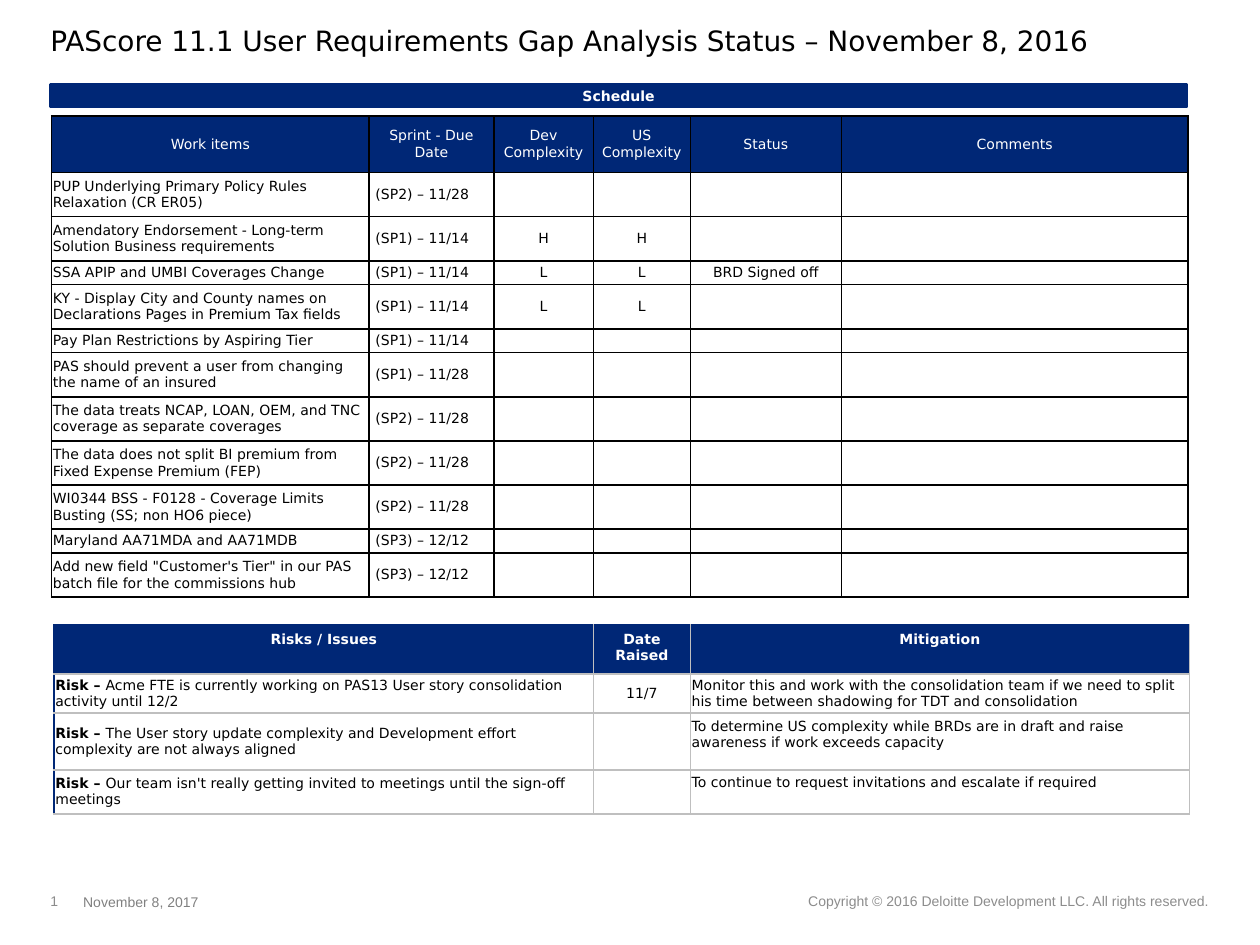
"""Build the user requirements gap analysis status slide."""
from dataclasses import dataclass

import pptx
import pptx.dml.color
import pptx.enum.shapes
import pptx.enum.text
import pptx.util
from lxml import etree
from pptx.oxml.ns import qn

Inches = pptx.util.Inches
Pt = pptx.util.Pt
RGB = pptx.dml.color.RGBColor.from_string
ALIGN = pptx.enum.text.PP_ALIGN
ANCHOR = pptx.enum.text.MSO_ANCHOR


@dataclass(frozen=True)
class Theme:
    """Colours, fonts and sizes of the slide."""
    navy: str = "002776"
    black: str = "000000"
    white: str = "FFFFFF"
    rule: str = "BFBFBF"
    footer: str = "8C8C8C"
    date: str = "808080"
    body_font: str = "DejaVu Sans"
    footer_font: str = "Arial"
    title_size: int = 16
    body_size: int = 8


T = Theme()

SCHEDULE_COLS = [2.52, 0.99, 0.79, 0.77, 1.2, 2.75]
SCHEDULE_HEADS = ["Work items", "Sprint - Due Date", "Dev Complexity",
                  "US Complexity", "Status", "Comments"]
WORK_ITEMS = [
    (0.35, "PUP Underlying Primary Policy Rules Relaxation (CR ER05)", "(SP2) – 11/28", "", ""),
    (0.35, "Amendatory Endorsement - Long-term Solution Business requirements",
     "(SP1) – 11/14", "H", ""),
    (0.19, "SSA APIP and UMBI Coverages Change", "(SP1) – 11/14", "L", "BRD Signed off"),
    (0.35, "KY - Display City and County names on Declarations Pages in Premium Tax fields",
     "(SP1) – 11/14", "L", ""),
    (0.19, "Pay Plan Restrictions by Aspiring Tier", "(SP1) – 11/14", "", ""),
    (0.35, "PAS should prevent a user from changing the name of an insured",
     "(SP1) – 11/28", "", ""),
    (0.35, "The data treats NCAP, LOAN, OEM, and TNC coverage as separate coverages",
     "(SP2) – 11/28", "", ""),
    (0.35, "The data does not split BI premium from Fixed Expense Premium (FEP)",
     "(SP2) – 11/28", "", ""),
    (0.35, "WI0344 BSS - F0128 - Coverage Limits Busting (SS; non HO6 piece)",
     "(SP2) – 11/28", "", ""),
    (0.19, "Maryland AA71MDA and AA71MDB", "(SP3) – 12/12", "", ""),
    (0.35, "Add new field \"Customer's Tier\" in our PAS batch file for the commissions hub",
     "(SP3) – 12/12", "", ""),
]

RISK_COLS = [4.28, 0.77, 3.96]
RISK_HEADS = ["Risks / Issues", "Date Raised", "Mitigation"]
RISKS = [
    (0.31, "Acme FTE is currently working on PAS13 User story consolidation activity until 12/2",
     "11/7", "Monitor this and work with the consolidation team if we need to split "
     "his time between shadowing for TDT and consolidation", ANCHOR.MIDDLE),
    (0.45, "The User story update complexity and Development effort complexity are not "
     "always aligned", "", "To determine US complexity while BRDs are in draft and raise "
     "awareness if work exceeds capacity", ANCHOR.TOP),
    (0.35, "Our team isn't really getting invited to meetings until the sign-off meetings",
     "", "To continue to request invitations and escalate if required", ANCHOR.TOP),
]


def add_run(p, text, color=T.black, bold=False, size=T.body_size, font=T.body_font):
    """Append one formatted run to a paragraph."""
    r = p.add_run()
    r.text = text
    r.font.size, r.font.name, r.font.bold = Pt(size), font, bold
    r.font.color.rgb = RGB(color)


def add_text(s, box, text, align=ALIGN.LEFT, anchor=ANCHOR.TOP, wrap=True, **style):
    """Place a text box without insets in the given box."""
    tf = s.shapes.add_textbox(*map(Inches, box)).text_frame
    tf.margin_left = tf.margin_top = tf.margin_right = tf.margin_bottom = 0
    tf.word_wrap, tf.vertical_anchor = wrap, anchor
    tf.paragraphs[0].alignment = align
    add_run(tf.paragraphs[0], text, **style)


def add_grid(s, box, cols, rows):
    """Add a plain table with the given column widths and row heights."""
    tbl = s.shapes.add_table(len(rows), len(cols), *map(Inches, box)).table
    tbl.first_row = tbl.horz_banding = False
    for col, width in zip(tbl.columns, cols):
        col.width = Inches(width)
    for row, height in zip(tbl.rows, rows):
        row.height = Inches(height)
    return tbl


def set_borders(cell, color, **sides):
    """Draw one-point borders, with other colours for the sides named."""
    tcPr = cell._tc.get_or_add_tcPr()
    for side in "LRTB":
        ln = etree.SubElement(tcPr, qn("a:ln" + side), w=str(Pt(1)))
        fill = etree.SubElement(ln, qn("a:solidFill"))
        etree.SubElement(fill, qn("a:srgbClr"), val=sides.get(side, color))


def fill_cell(cell, runs, fill=None, color=T.black, align=ALIGN.LEFT,
              anchor=ANCHOR.MIDDLE, inset=0.01, left=None, top=None):
    """Write (text, bold) runs into a cell and set its fill and insets."""
    cell.margin_right = cell.margin_bottom = Inches(inset)
    cell.margin_left = Inches(inset if left is None else left)
    cell.margin_top = Inches(inset if top is None else top)
    cell.vertical_anchor = anchor
    if fill:
        cell.fill.solid()
        cell.fill.fore_color.rgb = RGB(fill)
    else:
        cell.fill.background()
    p = cell.text_frame.paragraphs[0]
    p.alignment = align
    for text, bold in runs:
        if text:
            add_run(p, text, color, bold)
    etree.SubElement(p._p, qn("a:endParaRPr"), sz=str(T.body_size * 100))


def add_header(tbl, heads, bold, anchor):
    """Fill the navy header row of a table."""
    for cell, head in zip(tbl.rows[0].cells, heads):
        fill_cell(cell, [(head, bold)], T.navy, T.white, ALIGN.CENTER, anchor, 0.05)


def add_banner(s, box, text):
    """Draw the navy section bar."""
    sp = s.shapes.add_shape(pptx.enum.shapes.MSO_SHAPE.RECTANGLE, *map(Inches, box))
    sp.shadow.inherit = False
    sp.fill.solid()
    sp.fill.fore_color.rgb = sp.line.color.rgb = RGB(T.navy)
    sp.line.width = Pt(1.5)
    tf = sp.text_frame
    tf.word_wrap, tf.vertical_anchor = True, ANCHOR.MIDDLE
    tf.margin_left = tf.margin_top = tf.margin_right = tf.margin_bottom = Inches(0.1)
    p = tf.paragraphs[0]
    p.alignment, p.line_spacing = ALIGN.CENTER, 1.06
    add_run(p, text, T.white, True)


def add_schedule(s, box):
    """Build the work item table."""
    tbl = add_grid(s, box, SCHEDULE_COLS, [0.45] + [item[0] for item in WORK_ITEMS])
    for cell in tbl.iter_cells():
        set_borders(cell, T.black)
    add_header(tbl, SCHEDULE_HEADS, False, ANCHOR.MIDDLE)
    for i, (_, item, sprint, level, status) in enumerate(WORK_ITEMS, 1):
        for j, text in enumerate([item, sprint, level, level, status, ""]):
            fill_cell(tbl.cell(i, j), [(text, False)], left=0.05 if j == 1 else None,
                      align=ALIGN.CENTER if j > 1 else ALIGN.LEFT)


def add_risks(s, box):
    """Build the risk and mitigation table."""
    tbl = add_grid(s, box, RISK_COLS, [0.39] + [risk[0] for risk in RISKS])
    for i, row in enumerate(tbl.rows):
        for j, cell in enumerate(row.cells):
            set_borders(cell, T.rule, L=T.rule if j else T.navy, T=T.rule if i else T.navy)
    add_header(tbl, RISK_HEADS, True, ANCHOR.TOP)
    for i, (_, risk, raised, mitigation, anchor) in enumerate(RISKS, 1):
        fill_cell(tbl.cell(i, 0), [("Risk – ", True), (risk, False)])
        fill_cell(tbl.cell(i, 1), [(raised, False)], align=ALIGN.CENTER)
        fill_cell(tbl.cell(i, 2), [(mitigation, False)], anchor=anchor,
                  top=0.04 if anchor == ANCHOR.TOP else None)


def add_footer(s, box):
    """Place page number, date and copyright line along the box."""
    left, top, width, height = box
    style = dict(color=T.footer, font=T.footer_font)
    add_text(s, (left, top, 0.2, height), "1", anchor=ANCHOR.BOTTOM, **style)
    add_text(s, (left + 0.26, top, 0.93, height), "November 8, 2017", wrap=False,
             color=T.date, font=T.footer_font)
    add_text(s, (left + width - 4.75, top, 4.75, height),
             "Copyright © 2016 Deloitte Development LLC. All rights reserved.",
             ALIGN.RIGHT, ANCHOR.BOTTOM, **style)


def main():
    """Assemble the slide and save it."""
    prs = pptx.Presentation()
    prs.slide_width, prs.slide_height = Inches(10), Inches(7.5)
    s = prs.slides.add_slide(prs.slide_layouts[6])
    add_footer(s, (0.4, 7.09, 9.2, 0.13))
    add_text(s, (0.4, 0.19, 9.16, 0.32), size=T.title_size,
             text="PAScore 11.1 User Requirements Gap Analysis Status – November 8, 2016")
    add_schedule(s, (0.41, 0.92, 9.02, 3.81))
    add_banner(s, (0.4, 0.67, 9.02, 0.18), "Schedule")
    add_risks(s, (0.43, 4.96, 9.01, 1.5))
    prs.save("out.pptx")


if __name__ == "__main__":
    main()
